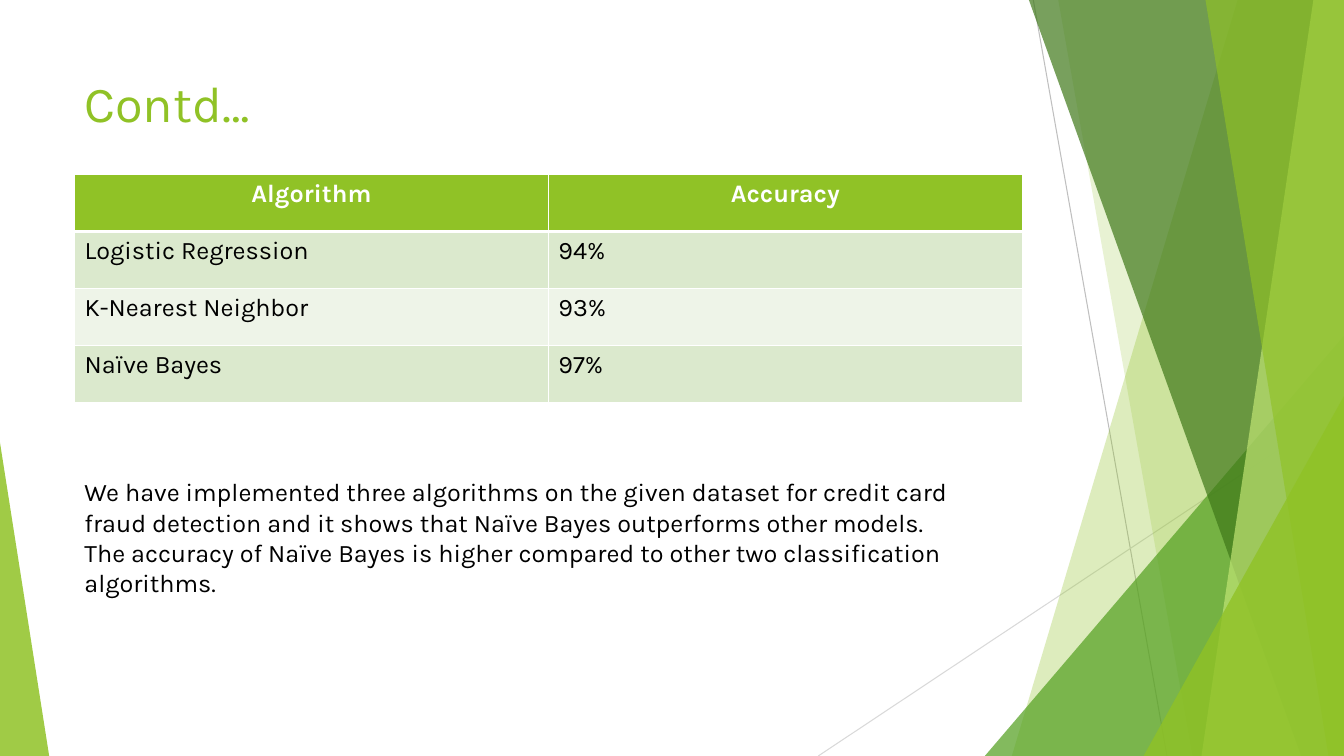
from lxml import etree
from pptx import Presentation
from pptx.dml.color import RGBColor
from pptx.enum import shapes, text
from pptx.oxml import ns
from pptx.util import Cm, Pt

GREEN = "90C226"
WIDTH, HEIGHT = 33.87, 19.05
LEFT, CONTENT_WIDTH = 1.88, 23.88


def color(hex_code):
    return RGBColor.from_string(hex_code)


def child(parent, tag, **attributes):
    return etree.SubElement(parent, ns.qn(tag), attributes)


def write(frame, *lines, size=18, hex_code="000000", bold=False,
          align=text.PP_ALIGN.LEFT):
    frame.word_wrap = True
    frame.vertical_anchor = text.MSO_ANCHOR.TOP
    for index, line in enumerate(lines):
        paragraph = frame.add_paragraph() if index else frame.paragraphs[0]
        paragraph.alignment = align
        run = paragraph.add_run()
        run.text = line
        run.font.name = "Karla"
        run.font.size = Pt(size)
        run.font.bold = bold
        run.font.color.rgb = color(hex_code)


def text_block(slide, box, *lines, **style):
    block = slide.shapes.add_textbox(*map(Cm, box))
    write(block.text_frame, *lines, **style)


# Decoration
def paint(shape, hex_code, opacity):
    shape.shadow.inherit = False
    shape.line.fill.background()
    shape.fill.solid()
    shape.fill.fore_color.rgb = color(hex_code)
    tint = shape.fill._xPr.find(ns.qn("a:solidFill"))[0]
    child(tint, "a:alpha", val=str(opacity * 1000))


def thin_line(slide, start, end, hex_code):
    line = slide.shapes.add_connector(
        shapes.MSO_CONNECTOR.STRAIGHT, *map(Cm, start + end))
    line.line.color.rgb = color(hex_code)
    line.line.width = Pt(0.75)
    child(line._element.spPr, "a:effectLst")


def corner(slide, box, apex, hex_code, opacity):
    triangle = slide.shapes.add_shape(
        shapes.MSO_SHAPE.ISOSCELES_TRIANGLE, *map(Cm, box))
    triangle.adjustments[0] = apex
    paint(triangle, hex_code, opacity)


def right_decoration(slide, box):
    left, top, width, height = box
    right, bottom = left + width, top + height

    def band(top_inset, bottom_inset, hex_code, opacity):
        outline = slide.shapes.build_freeform(Cm(right - top_inset), Cm(top))
        outline.add_line_segments([
            (Cm(right), Cm(top)), (Cm(right), Cm(bottom)),
            (Cm(right - bottom_inset), Cm(bottom))], close=True)
        paint(outline.convert_to_shape(), hex_code, opacity)

    def right_corner(across, up, hex_code, opacity):
        corner(slide, (right - across, bottom - up, across, up), 1,
               hex_code, opacity)

    thin_line(slide, (right - 7.83, top), (right - 4.46, bottom), "BFBFBF")
    thin_line(slide, (right, top + 10.24), (left, bottom), "D9D9D9")
    # Overlapping pieces, back to front
    for piece, top_or_width, bottom_or_height, hex_code, opacity in (
            (band, 2.68, 8.37, GREEN, 30),
            (band, 7.2, 3.82, GREEN, 20),
            (right_corner, 9.05, 10.59, "54A021", 72),
            (band, 7.94, 1.08, "3F7819", 70),
            (band, 0.77, 3.59, "C0E474", 70),
            (band, 3.49, 0.39, GREEN, 65),
            (right_corner, 5.05, 9.07, GREEN, 80)):
        piece(top_or_width, bottom_or_height, hex_code, opacity)


# Accuracy table
def style_cell(cell, fill, header):
    properties = cell._tc.get_or_add_tcPr()
    for side in ("L", "R", "T", "B"):
        points = 3 if header and side == "B" else 1
        border = child(properties, f"a:ln{side}", w=str(Pt(points)))
        child(child(border, "a:solidFill"), "a:srgbClr", val="FFFFFF")
    cell.fill.solid()
    cell.fill.fore_color.rgb = color(fill)


def accuracy_table(slide, box, rows):
    table = slide.shapes.add_table(
        len(rows), len(rows[0]), *map(Cm, box)).table
    table.horz_banding = False
    for row_index, values in enumerate(rows):
        header = row_index == 0
        table.rows[row_index].height = Cm(box[3] / len(rows))
        fill = GREEN if header else ("EEF4E8", "DBE9CD")[row_index % 2]
        for column, value in enumerate(values):
            cell = table.cell(row_index, column)
            style_cell(cell, fill, header)
            write(cell.text_frame, value, bold=header,
                  hex_code="FFFFFF" if header else "000000",
                  align=text.PP_ALIGN.CENTER if header else text.PP_ALIGN.LEFT)


def results_slide(deck):
    slide = deck.slides.add_slide(deck.slide_layouts[6])
    right_decoration(slide, (20.62, 0, WIDTH - 20.62, HEIGHT))
    corner(slide, (0, HEIGHT - 7.9, 1.24, 7.9), 0, GREEN, 85)
    text_block(slide, (LEFT, 1.7, CONTENT_WIDTH, 2.69), "Contd…",
               size=36, hex_code=GREEN)
    accuracy_table(slide, (LEFT, 4.4, CONTENT_WIDTH, 5.74), (
        ("Algorithm", "Accuracy"),
        ("Logistic Regression", "94%"),
        ("K-Nearest Neighbor", "93%"),
        ("Naïve Bayes", "97%")))
    # Conclusion
    text_block(
        slide, (LEFT, 11.89, CONTENT_WIDTH, 4.11),
        "We have implemented three algorithms on the given dataset for credit "
        "card fraud detection and it shows that Naïve Bayes outperforms other "
        "models.",
        "The accuracy of Naïve Bayes is higher compared to other two "
        "classification algorithms.")


def main():
    deck = Presentation()
    deck.slide_width, deck.slide_height = Cm(WIDTH), Cm(HEIGHT)
    results_slide(deck)
    deck.save("out.pptx")


if __name__ == "__main__":
    main()
